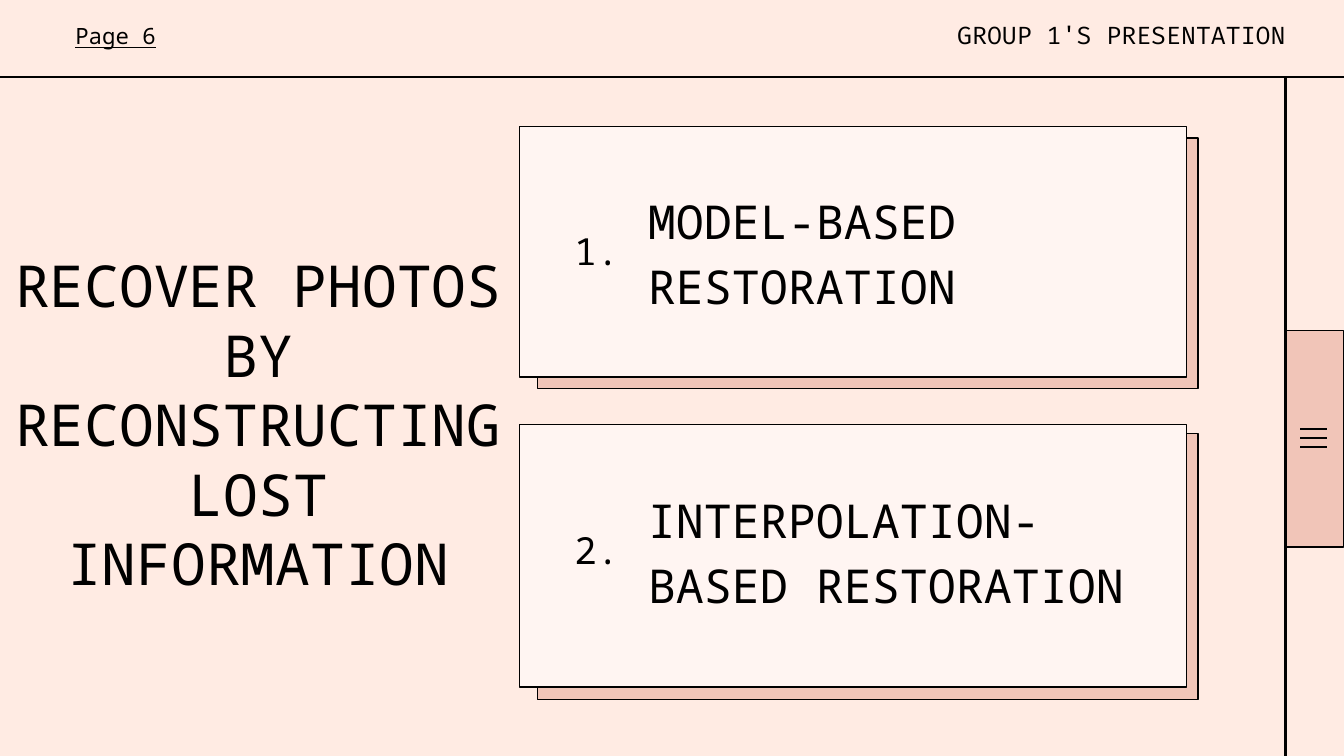
"""Build the slide on recovering photos by reconstructing lost information."""
from typing import NamedTuple

from lxml import etree
from pptx import Presentation
from pptx import util as u
from pptx.dml.color import RGBColor
from pptx.enum import shapes, text
from pptx.oxml import ns
from pptx.slide import Slide

BLACK = RGBColor(0x00, 0x00, 0x00)
BLUSH = RGBColor(0xFF, 0xEB, 0xE3)
ROSE = RGBColor(0xF1, 0xC5, 0xB8)
CREAM = RGBColor(0xFF, 0xF5, 0xF2)
MONO = "Noto Sans Mono"
CODE = "Fira Code"
LEFT, CENTER, RIGHT = text.PP_ALIGN.LEFT, text.PP_ALIGN.CENTER, text.PP_ALIGN.RIGHT


class Box(NamedTuple):
    x: float
    y: float
    w: float
    h: float


class Label(NamedTuple):
    words: str
    box: Box
    size: float
    leading: float
    align: text.PP_ALIGN = LEFT
    font: str = MONO
    underline: bool = False


class Card(NamedTuple):
    number: str
    title: str
    front: Box
    back: Box
    title_top: float


class Rule(NamedTuple):
    x1: float
    y1: float
    x2: float
    y2: float


CARDS = [
    Card("1.", "MODEL-BASED RESTORATION",
         Box(7.73, 1.88, 9.93, 3.73), Box(8, 2.05, 9.83, 3.73), 2.73),
    Card("2.", "INTERPOLATION-BASED RESTORATION",
         Box(7.73, 6.32, 9.93, 3.9), Box(8, 6.45, 9.83, 3.96), 7.18),
]
LABELS = [
    Label("RECOVER PHOTOS BY RECONSTRUCTING LOST INFORMATION",
          Box(0.18, 3.72, 7.33, 5.17), 62, 74.4, CENTER),
    Label("GROUP 1'S PRESENTATION", Box(12.93, 0.38, 6.21, 0.36), 26, 26, RIGHT, CODE),
    Label("Page 6", Box(1.12, 0.4, 3.35, 0.33), 24, 24, underline=True),
]
FRAME_RULES = [Rule(0, 1.15, 20, 1.15), Rule(19.13, 1.15, 19.13, 11.25)]
MENU_TAB = Box(19.14, 4.92, 0.85, 3.22)
MENU_RULES = [Rule(19.35, y, 19.75, y) for y in (6.38, 6.52, 6.65)]


def add_panel(s: Slide, box: Box, fill: RGBColor) -> None:
    """Draw a filled rectangle with a thin black outline."""
    sp = s.shapes.add_shape(shapes.MSO_SHAPE.RECTANGLE, *map(u.Inches, box))
    sp.shadow.inherit = False
    sp.fill.solid()
    sp.fill.fore_color.rgb = fill
    sp.line.color.rgb = BLACK
    sp.line.width = u.Pt(1.7)


def add_label(s: Slide, label: Label) -> None:
    """Draw a wrapped text box without margins."""
    tf = s.shapes.add_textbox(*map(u.Inches, label.box)).text_frame
    tf.word_wrap = True
    tf.margin_left = tf.margin_right = tf.margin_top = tf.margin_bottom = 0
    p = tf.paragraphs[0]
    p.alignment = label.align
    p.line_spacing = u.Pt(label.leading)
    r = p.add_run()
    r.text = label.words
    r.font.size = u.Pt(label.size)
    r.font.name = label.font
    r.font.color.rgb = BLACK
    if label.underline:
        r.font.underline = True


def add_rule(s: Slide, rule: Rule) -> None:
    """Draw a straight black line."""
    c = s.shapes.add_connector(shapes.MSO_CONNECTOR.STRAIGHT, *map(u.Inches, rule))
    c.line.color.rgb = BLACK
    c.line.width = u.Pt(2.25)
    etree.SubElement(c._element.spPr, ns.qn("a:effectLst"))


def main() -> None:
    """Assemble and save the slide."""
    prs = Presentation()
    prs.slide_width, prs.slide_height = u.Inches(20), u.Inches(11.25)
    s = prs.slides.add_slide(prs.slide_layouts[6])
    s.background.fill.solid()
    s.background.fill.fore_color.rgb = BLUSH

    for card in CARDS:
        add_panel(s, card.back, ROSE)
        add_panel(s, card.front, CREAM)
        number_box = Box(8.12, card.title_top + 0.66, 1.52, 0.68)
        add_label(s, Label(card.number, number_box, 40, 48, CENTER))
        add_label(s, Label(card.title, Box(9.64, card.title_top, 7.27, 1.9), 50, 70))
    for label in LABELS:
        add_label(s, label)
    for rule in FRAME_RULES:
        add_rule(s, rule)
    add_panel(s, MENU_TAB, ROSE)
    for rule in MENU_RULES:
        add_rule(s, rule)
    prs.save("out.pptx")


if __name__ == "__main__":
    main()
